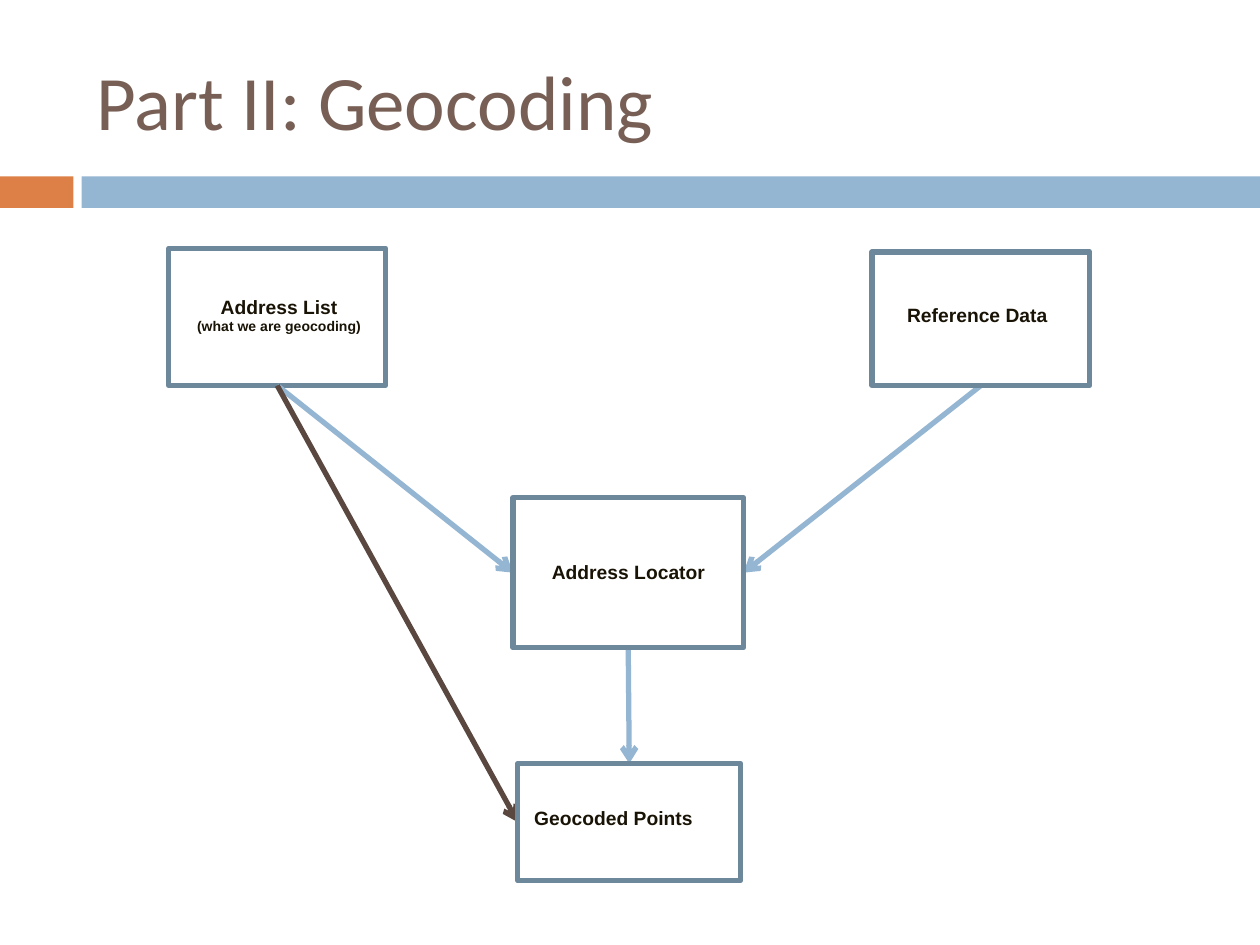
from dataclasses import dataclass

from lxml.etree import SubElement
from pptx import Presentation
from pptx.dml.color import RGBColor
from pptx.enum.shapes import MSO_CONNECTOR, MSO_SHAPE
from pptx.enum.text import MSO_ANCHOR, PP_ALIGN
from pptx.oxml.ns import qn
from pptx.util import Pt


@dataclass(frozen=True)
class Theme:
    orange: RGBColor = RGBColor(0xDD, 0x80, 0x47)
    blue: RGBColor = RGBColor(0x94, 0xB6, 0xD2)
    outline: RGBColor = RGBColor(0x6D, 0x87, 0x9B)
    brown: RGBColor = RGBColor(0x59, 0x47, 0x40)
    title: RGBColor = RGBColor(0x77, 0x5F, 0x55)
    ink: RGBColor = RGBColor(0x19, 0x13, 0x06)
    title_size: float = 44
    label_size: float = 11
    note_size: float = 8
    line_width: float = 3


@dataclass(frozen=True)
class Box:
    left: float
    top: float
    width: float
    height: float

    def within(self, outer):
        return Box(outer.left + self.left, outer.top + self.top, self.width, self.height)

    def lengths(self):
        return [Pt(value) for value in (self.left, self.top, self.width, self.height)]


THEME = Theme()
TOP, LEFT, BOTTOM, RIGHT = range(4)

NODES = {
    "Address List": Box(0, 0, 123.8, 78.5),
    "Reference Data": Box(401.8, 2.2, 124.5, 76.3),
    "Address Locator": Box(196.6, 142.6, 131.8, 85.7),
    "Geocoded Points": Box(199.4, 294.5, 127.4, 67),
}

LABELS = [
    (Box(-14.4, 23.1, 154.8, 34.6), PP_ALIGN.CENTER,
     [("Address List", THEME.label_size), ("(what we are geocoding)", THEME.note_size)]),
    (Box(414.7, 28.1, 154.8, 23.8), PP_ALIGN.LEFT, [("Reference Data", THEME.label_size)]),
    (Box(211.7, 175, 136.1, 23.8), PP_ALIGN.LEFT, [("Address Locator", THEME.label_size)]),
    (Box(201.6, 315.4, 136.1, 23.8), PP_ALIGN.LEFT, [("Geocoded Points", THEME.label_size)]),
]

ARROWS = [
    ("Address List", BOTTOM, "Address Locator", LEFT, THEME.blue),
    ("Reference Data", BOTTOM, "Address Locator", RIGHT, THEME.blue),
    ("Address Locator", BOTTOM, "Geocoded Points", TOP, THEME.blue),
    ("Address List", BOTTOM, "Geocoded Points", LEFT, THEME.brown),
]


def format_font(font, color, values):
    for name, value in values.items():
        setattr(font, name, value)
    font.color.rgb = color


def add_title(page, box, text):
    title = page.shapes.title
    title.left, title.top, title.width, title.height = box.lengths()
    frame = title.text_frame
    frame.text = text
    frame.vertical_anchor = MSO_ANCHOR.MIDDLE
    para = frame.paragraphs[0]
    para.alignment = PP_ALIGN.LEFT
    format_font(para.runs[0].font, THEME.title,
                {"name": "Calibri", "size": Pt(THEME.title_size), "bold": False})


def add_band(page, box):
    accent_width, gap = 42, 4.6
    start = accent_width + gap
    parts = [
        (Box(0, 0, accent_width, box.height), THEME.orange),
        (Box(start, 0, box.width - start, box.height), THEME.blue),
    ]
    for part, color in parts:
        bar = page.shapes.add_shape(MSO_SHAPE.RECTANGLE, *part.within(box).lengths())
        bar.shadow.inherit = False
        bar.fill.solid()
        bar.fill.fore_color.rgb = color
        bar.line.fill.background()


def add_node(page, box):
    node = page.shapes.add_shape(MSO_SHAPE.RECTANGLE, *box.lengths())
    node.shadow.inherit = False
    node.fill.background()
    node.line.color.rgb = THEME.outline
    node.line.width = Pt(THEME.line_width)
    return node


def add_label(page, box, alignment, lines):
    frame = page.shapes.add_textbox(*box.lengths()).text_frame
    frame.word_wrap = True
    for index, (text, size) in enumerate(lines):
        para = frame.add_paragraph() if index else frame.paragraphs[0]
        para.alignment = alignment
        span = para.add_run()
        span.text = text
        format_font(span.font, THEME.ink, {"name": "Arial", "size": Pt(size), "bold": True})


def add_arrow(page, source, source_side, target, target_side, color):
    arrow = page.shapes.add_connector(MSO_CONNECTOR.STRAIGHT, 0, 0, 0, 0)
    arrow.begin_connect(source, source_side)
    arrow.end_connect(target, target_side)
    arrow.line.color.rgb = color
    arrow.line.width = Pt(THEME.line_width)
    SubElement(arrow.line._get_or_add_ln(), qn("a:tailEnd"), type="arrow")
    SubElement(arrow._element.spPr, qn("a:effectLst"))


def add_flow(page, box):
    nodes = {name: add_node(page, part.within(box)) for name, part in NODES.items()}
    for part, alignment, lines in LABELS:
        add_label(page, part.within(box), alignment, lines)
    for source, source_side, target, target_side, color in ARROWS:
        add_arrow(page, nodes[source], source_side, nodes[target], target_side, color)
    for name in ("Reference Data", "Address Locator", "Geocoded Points"):
        page.shapes._spTree.append(nodes[name]._element)


def main():
    deck = Presentation()
    deck.slide_width, deck.slide_height = Pt(720), Pt(540)
    page = deck.slides.add_slide(deck.slide_layouts[5])
    add_band(page, Box(0, 100.8, 720, 18))
    add_title(page, Box(48, 18, 642, 78), "Part II: Geocoding")
    add_flow(page, Box(96.5, 141.8, 526.3, 361.5))
    deck.save("out.pptx")


if __name__ == "__main__":
    main()
